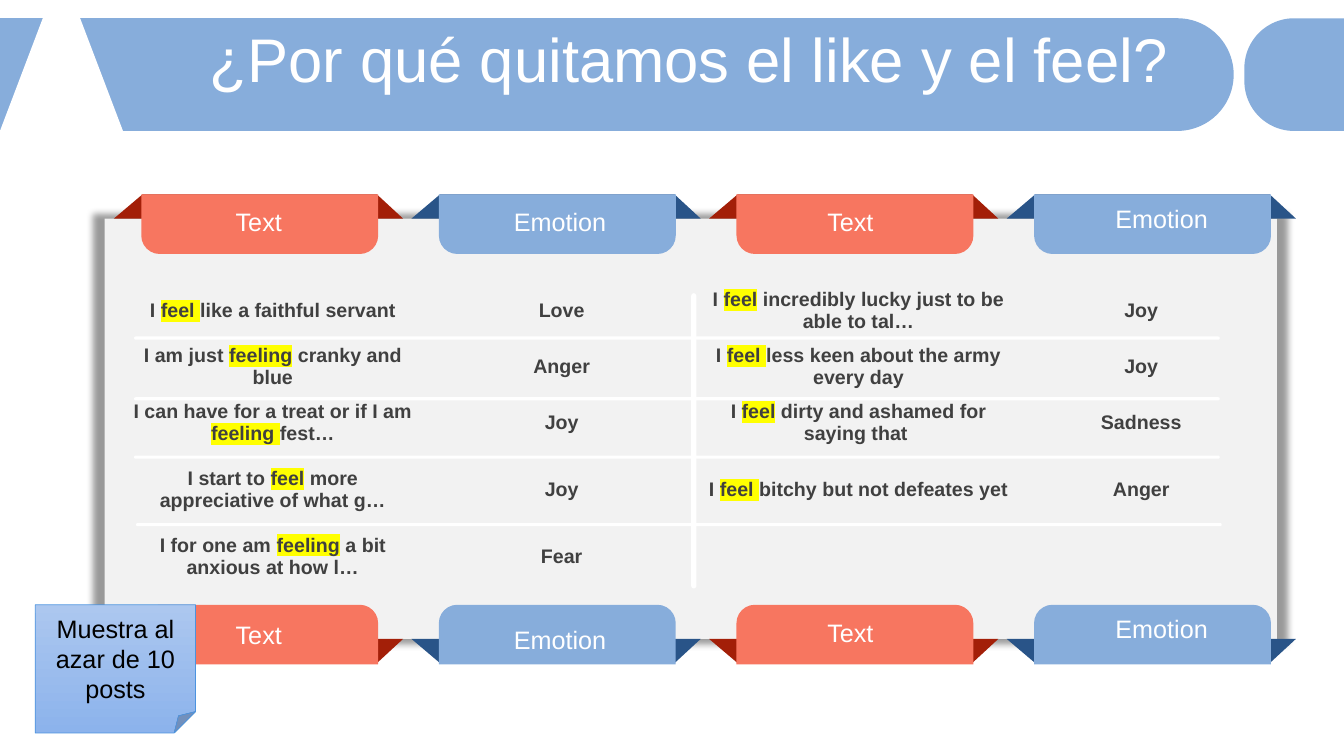
from dataclasses import dataclass

from lxml.etree import SubElement as sub
from pptx import Presentation
from pptx.dml.color import RGBColor as Rgb
from pptx.enum.shapes import MSO_SHAPE as Kind
from pptx.enum.text import MSO_ANCHOR as Anchor, MSO_AUTO_SIZE as Fit, PP_ALIGN as Align
from pptx.oxml.ns import qn
from pptx.util import Cm, Pt


@dataclass(frozen=True)
class Theme:
    font: str = "Arial"
    white: str = "FFFFFF"
    black: str = "000000"
    ink: str = "404040"
    panel: str = "F2F2F2"
    blue: str = "87ADDB"
    navy: str = "295488"
    coral: str = "F77660"
    brick: str = "A31F08"
    mark: str = "FFFF00"
    note_top: str = "ACC7EF"
    note_end: str = "8CB3EC"
    note_line: str = "4C93DF"
    head: int = 44
    label: int = 18
    body: int = 14


THEME = Theme()
PLAIN_GRID = "{2D5ABB26-0587-4C30-8999-92F81FD0307C}"

# Label, ribbon colour, tab colour, label left, top label top, bottom label top
TABS = [
    ("Text", THEME.brick, THEME.coral, 5.69, 5.08, 15.47),
    ("Emotion", THEME.navy, THEME.blue, 12.7, 5.08, 15.6),
    ("Text", THEME.brick, THEME.coral, 20.6, 5.08, 15.44),
    ("Emotion", THEME.navy, THEME.blue, 27.86, 5.0, 15.34),
]

# Each post has three runs, and the middle one is marked
POSTS = [
    [("I ", "feel ", "like a faithful servant"), "Love",
     ("I ", "feel", " incredibly lucky just to be able to tal…"), "Joy"],
    [("I am just ", "feeling", " cranky and blue"), "Anger",
     ("I ", "feel ", "less keen about the army every day"), "Joy"],
    [("I can have for a treat or if I am ", "feeling ", "fest…"), "Joy",
     ("I ", "feel", " dirty and ashamed for saying that "), "Sadness"],
    [("I start to ", "feel", " more appreciative of what g…"), "Joy",
     ("I ", "feel ", "bitchy but not defeates yet"), "Anger"],
    [("I for one am ", "feeling", " a bit anxious at how l…"), "Fear"],
]
COLS = [7.75, 6.81, 8.15, 6.1]
ROWS = [1.42, 1.4, 1.4, 1.42, 1.96, 1.4, 1.3]


def box(*sizes):
    return [Cm(size) for size in sizes]


def paint(shape, color):
    shape.shadow.inherit = False
    shape.fill.solid()
    shape.fill.fore_color.rgb = Rgb.from_string(color)
    shape.line.fill.background()


def add_block(slide, kind, place, color, turn=0, adjust=()):
    shape = slide.shapes.add_shape(kind, *box(*place))
    paint(shape, color)
    shape.rotation = turn
    for i, value in enumerate(adjust):
        shape.adjustments[i] = value
    return shape


def add_run(para, text, size, color, bold=False, mark=None):
    run = para.add_run()
    run.text = text
    font = run.font
    font.name, font.size, font.bold = THEME.font, Pt(size), bold
    font.color.rgb = Rgb.from_string(color)
    if mark:
        props = run._r.get_or_add_rPr()
        light = sub(props, qn("a:highlight"))
        sub(light, qn("a:srgbClr"), val=mark)
        props.find(qn("a:latin")).addprevious(light)


def add_bands(slide):
    """Draw the two header bands as upright shapes turned on their side."""
    for left, width, turn in [(0, 31.09, 90), (31.36, 2.51, 270)]:
        place = (left + (width - 2.84) / 2, 0.46 - (width - 2.84) / 2, 2.84, width)
        add_block(slide, Kind.ROUND_2_SAME_RECTANGLE, place, THEME.blue, turn, (0.5, 0))
    add_block(slide, Kind.TRAPEZOID, (0, 0.46, 3.1, 2.84), THEME.white, 0, (0.38,))


def add_title(slide, text):
    title = slide.shapes.title
    title.left, title.top, title.width, title.height = box(5.03, 0.58, 27.15, 2.01)
    frame = title.text_frame
    frame.auto_size, frame.vertical_anchor = Fit.NONE, Anchor.MIDDLE
    para = frame.paragraphs[0]
    para.alignment, para.line_spacing = Align.LEFT, 0.9
    add_run(para, text, THEME.head, THEME.white)
    slide.shapes._spTree.append(title._element)


def add_panel(slide):
    panel = add_block(slide, Kind.RECTANGLE, (2.64, 5.51, 29.54, 10.59), THEME.panel)
    glow = sub(panel._element.spPr.find(qn("a:effectLst")), qn("a:outerShdw"),
               blurRad=str(Pt(5)), dist="0", sx="102000", sy="102000",
               algn="ctr", rotWithShape="0")
    shade = sub(glow, qn("a:srgbClr"), val=THEME.black)
    sub(shade, qn("a:alpha"), val="40000")


def add_ribbon(slide, left, inner, outer, color):
    """Draw the folded strip that shows on both sides of a tab."""
    points = [(left + 0.72, outer), (left + 6.63, outer), (left + 7.29, inner)]
    draft = slide.shapes.build_freeform(Cm(left), Cm(inner))
    draft.add_line_segments([box(*point) for point in points])
    paint(draft.convert_to_shape(), color)


def add_label(slide, text, left, top):
    width = 2.67 if text == "Text" else 3.61
    frame = slide.shapes.add_textbox(*box(left, top, width, 1.02)).text_frame
    frame.word_wrap = True
    add_run(frame.paragraphs[0], text, THEME.label, THEME.white)


def add_tabs(slide):
    for i, (text, dark, light, label, *tops) in enumerate(TABS):
        left = 2.87 + 7.5 * i
        sides = [(5.51, 4.9, 4.9, 180), (16.1, 16.71, 15.24, 0)]
        for (inner, outer, top, turn), text_top in zip(sides, tops):
            add_ribbon(slide, left, inner, outer, dark)
            add_block(slide, Kind.ROUND_2_SAME_RECTANGLE, (left + 0.69, top, 5.97, 1.5),
                      light, turn, (0.31, 0))
            add_label(slide, text, label, text_top)


def fill_cell(cell, parts):
    cell.vertical_anchor = Anchor.MIDDLE
    para = cell.text_frame.paragraphs[0]
    para.alignment = Align.CENTER
    for i, part in enumerate(parts):
        add_run(para, part, THEME.body, THEME.ink, True, THEME.mark if i == 1 else None)


def add_posts(slide):
    place = box(3.0, 5.72, sum(COLS), sum(ROWS))
    table = slide.shapes.add_table(len(ROWS), len(COLS), *place).table
    table.first_row = table.horz_banding = False
    table._tbl.tblPr.find(qn("a:tableStyleId")).text = PLAIN_GRID
    for col, width in zip(table.columns, COLS):
        col.width = Cm(width)
    for row, height in zip(table.rows, ROWS):
        row.height = Cm(height)
    for cell in table.iter_cells():
        cell.fill.background()
        cell.margin_top = cell.margin_bottom = Cm(0.1)
    for r, post in enumerate(POSTS, 1):
        for c, item in enumerate(post):
            fill_cell(table.cell(r, c), [item] if isinstance(item, str) else item)


def add_rules(slide):
    flat = [(left, top, 27.36, 0.08) for left, top in
            [(3.38, 8.48), (3.38, 10.01), (3.38, 11.48), (3.43, 13.18)]]
    for place in flat + [(17.42, 7.39, 0.13, 7.44)]:
        add_block(slide, Kind.ROUNDED_RECTANGLE, place, THEME.white, 0, (0.5,))


def add_note(slide, text):
    note = add_block(slide, Kind.FOLDED_CORNER, (0.89, 15.24, 4.04, 3.23), THEME.note_top)
    note.fill.gradient()
    note.fill.gradient_angle = 270
    for stop, color in zip(note.fill.gradient_stops, (THEME.note_top, THEME.note_end)):
        stop.color.rgb = Rgb.from_string(color)
    note.line.color.rgb = Rgb.from_string(THEME.note_line)
    note.line.width = Pt(0.5)
    frame = note.text_frame
    frame.word_wrap, frame.vertical_anchor = True, Anchor.MIDDLE
    para = frame.paragraphs[0]
    para.alignment = Align.CENTER
    add_run(para, text, THEME.label, THEME.black)


def main():
    deck = Presentation()
    deck.slide_width, deck.slide_height = box(33.87, 19.05)
    slide = deck.slides.add_slide(deck.slide_layouts[5])
    add_bands(slide)
    add_title(slide, "¿Por qué quitamos el like y el feel?")
    add_panel(slide)
    add_tabs(slide)
    add_posts(slide)
    add_rules(slide)
    add_note(slide, "Muestra al azar de 10 posts")
    deck.save("out.pptx")


if __name__ == "__main__":
    main()
